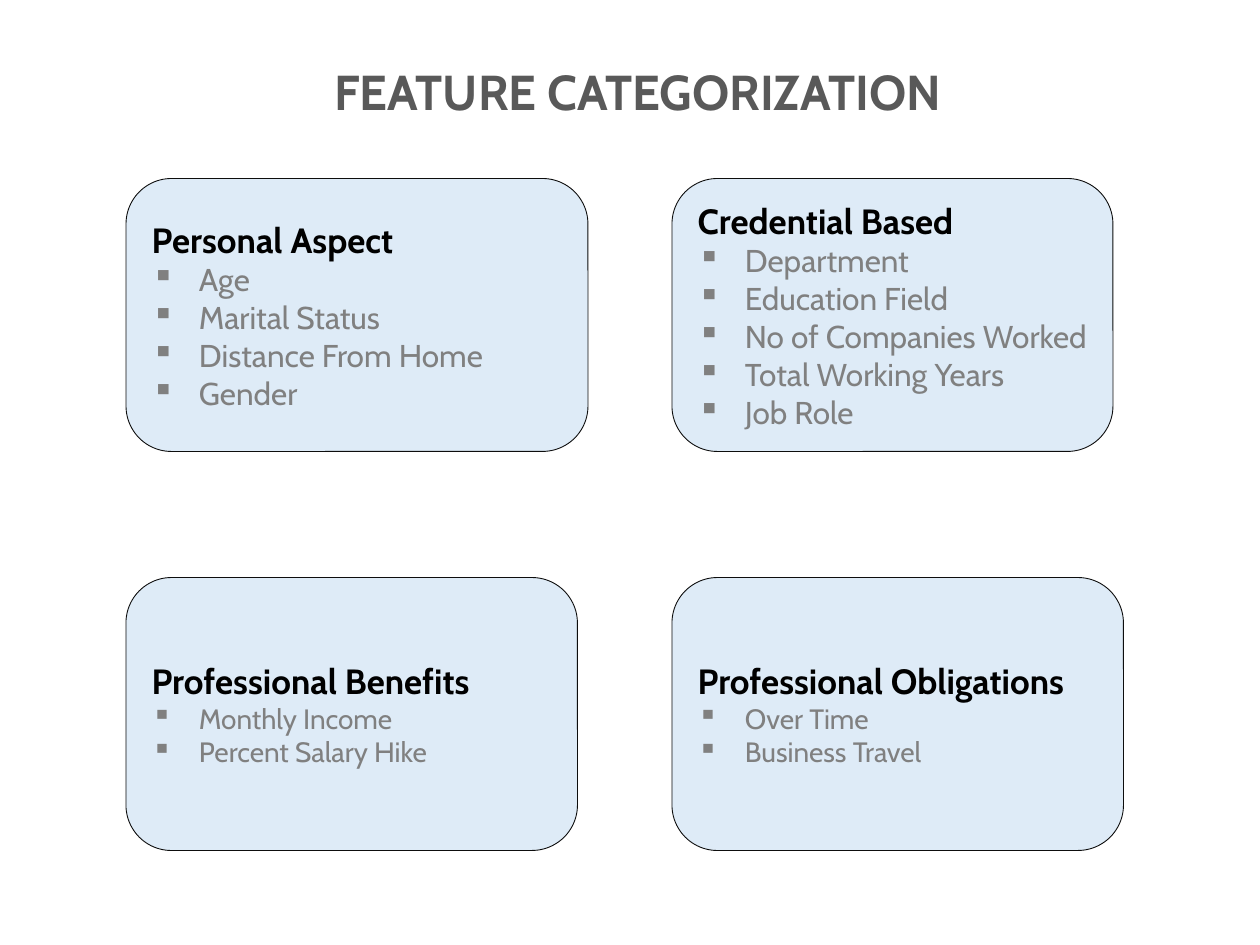
from dataclasses import dataclass

from lxml.etree import SubElement
from pptx import Presentation
from pptx.dml.color import RGBColor
from pptx.enum.shapes import MSO_SHAPE
from pptx.enum.text import MSO_ANCHOR, PP_ALIGN
from pptx.oxml.ns import qn
from pptx.util import Inches, Pt

FONT = "Cabin"
CELL = Inches(1) / 12  # the slide is a grid of 120 columns by 90 rows
CARD_ROWS = 26
INDENT = Inches(0.375)


@dataclass
class Card:
    col: int
    row: int
    cols: int
    head: str
    items: list[str]
    size: int


CARDS = [
    Card(12, 17, 44, "Personal Aspect",
         ["Age", "Marital Status", "Distance From Home", "Gender"], 18),
    Card(64, 17, 42, "Credential Based",
         ["Department", "Education Field", "No of Companies Worked",
          "Total Working Years", "Job Role"], 18),
    Card(12, 55, 43, "Professional Benefits",
         ["Monthly Income", "Percent Salary Hike"], 16),
    Card(64, 55, 43, "Professional Obligations",
         ["Over Time", "Business Travel"], 16),
]


def color(code: str) -> RGBColor:
    return RGBColor.from_string(code)


def grid(*cells: float) -> list[int]:
    return [round(n * CELL) for n in cells]


def write(para, text: str, size: int, code: str, bold: bool = False) -> None:
    run = para.add_run()
    run.text = text
    font = run.font
    font.name, font.size, font.bold = FONT, Pt(size), bold
    font.color.rgb = color(code)


def bullet(para) -> None:
    props = para._p.get_or_add_pPr()
    props.set("marL", str(INDENT))
    props.set("indent", str(-INDENT))
    SubElement(props, qn("a:buChar")).set("char", "▪")


def draw_title(slide, text: str) -> None:
    frame = slide.shapes.add_textbox(*grid(9, 4, 103.5, 10)).text_frame
    frame.word_wrap = True
    frame.vertical_anchor = MSO_ANCHOR.MIDDLE
    para = frame.paragraphs[0]
    para.alignment = PP_ALIGN.CENTER
    para.line_spacing = 0.9
    write(para, text, 28, "595959", True)


def draw_card(slide, card: Card) -> None:
    box = slide.shapes.add_shape(
        MSO_SHAPE.ROUNDED_RECTANGLE,
        *grid(card.col, card.row, card.cols, CARD_ROWS))
    box.shadow.inherit = False
    box.fill.solid()
    box.fill.fore_color.rgb = color("DEEBF7")
    box.line.color.rgb = color("0D0D0D")
    box.line.width = Pt(0.5)

    # Heading, then bulleted features
    frame = box.text_frame
    frame.word_wrap = True
    frame.vertical_anchor = MSO_ANCHOR.MIDDLE
    head = frame.paragraphs[0]
    head.alignment = PP_ALIGN.LEFT
    write(head, card.head, 20, "000000", True)
    for item in card.items:
        para = frame.add_paragraph()
        para.alignment = PP_ALIGN.LEFT
        bullet(para)
        write(para, item, card.size, "808080")


def main() -> None:
    deck = Presentation()
    deck.slide_width, deck.slide_height = grid(120, 90)
    slide = deck.slides.add_slide(deck.slide_layouts[6])
    draw_title(slide, "FEATURE CATEGORIZATION")
    for card in CARDS:
        draw_card(slide, card)
    deck.save("out.pptx")


if __name__ == "__main__":
    main()
